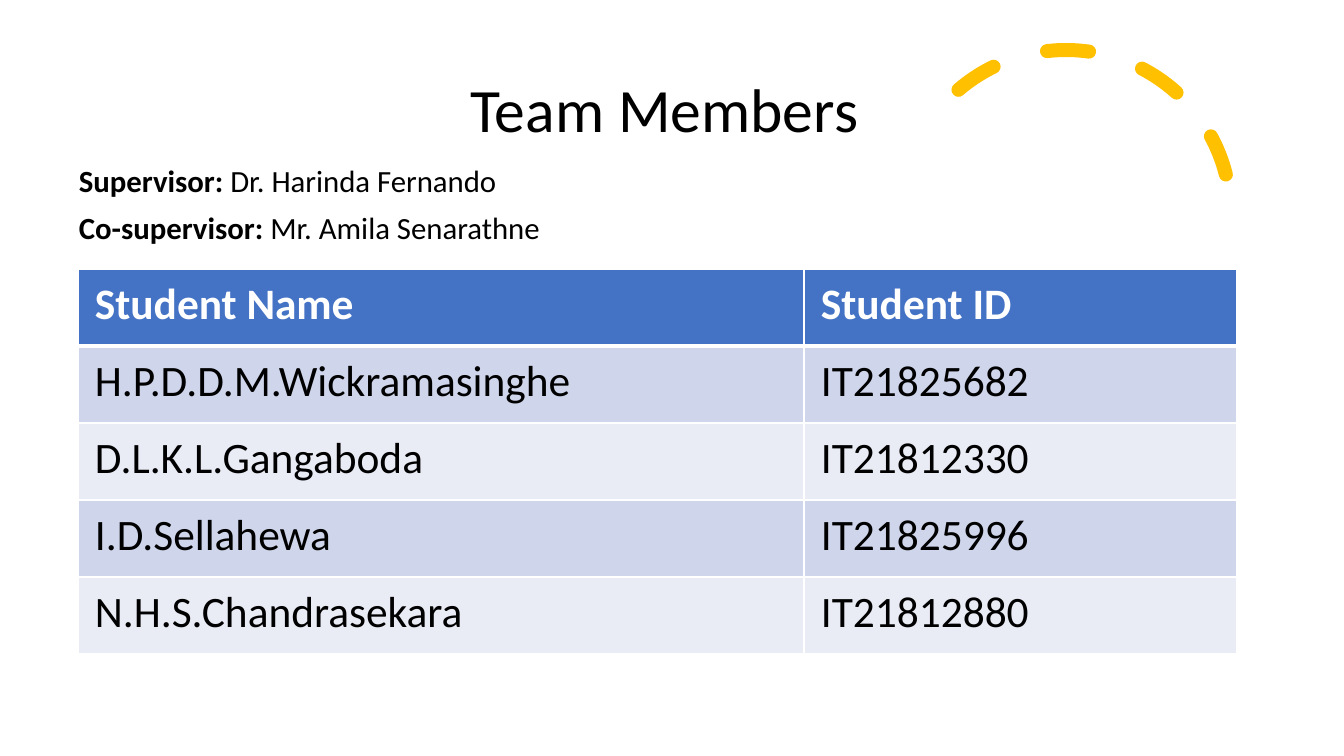
from lxml import etree
from pptx import Presentation
from pptx.dml.color import RGBColor
from pptx.enum.dml import MSO_LINE
from pptx.enum.shapes import MSO_SHAPE
from pptx.enum.text import MSO_ANCHOR, PP_ALIGN
from pptx.oxml.ns import qn
from pptx.util import Pt

ARC = MSO_SHAPE.ARC
DASH = MSO_LINE.DASH
MIDDLE = MSO_ANCHOR.MIDDLE
TOP = MSO_ANCHOR.TOP
CENTER = PP_ALIGN.CENTER

BLACK = RGBColor(0x00, 0x00, 0x00)
WHITE = RGBColor(0xFF, 0xFF, 0xFF)
GOLD = RGBColor(0xFF, 0xC0, 0x00)
BLUE = RGBColor(0x44, 0x72, 0xC4)
BANDS = [RGBColor(0xE9, 0xEB, 0xF5), RGBColor(0xCF, 0xD5, 0xEA)]
FONT = "Calibri"
PX = 914400 / 100.8


def px(*nums):
    return [round(n * PX) for n in nums]


def write(par, text, size=22, color=BLACK, bold=False):
    run = par.add_run()
    run.text = text
    font = run.font
    font.name = FONT
    font.size = Pt(size)
    font.bold = bold
    font.color.rgb = color


deck = Presentation()
deck.slide_width, deck.slide_height = px(1344, 756)
slide = deck.slides.add_slide(deck.slide_layouts[5])
shapes = slide.shapes

title = shapes.title
title.left, title.top, title.width, title.height = px(92, 40, 1159, 146)
title.text_frame.vertical_anchor = MIDDLE
par = title.text_frame.paragraphs[0]
par.alignment = CENTER
par.line_spacing = 0.9
par.space_after = Pt(6)
write(par, "Team Members ", size=44)

arc = shapes.add_shape(ARC, *px(901, 50, 330, 330))
arc.adjustments[0] = 146.13
arc.adjustments[1] = 0
arc.rotation = 345.8
arc.shadow.inherit = False
arc.fill.background()
arc.line.color.rgb = GOLD
arc.line.width = Pt(10)
arc.line.dash_style = DASH
arc.line._get_or_add_ln().set("cap", "rnd")

staff = [
    ("Supervisor: ", "Dr. Harinda Fernando"),
    ("Co-supervisor: ", "Mr. Amila Senarathne"),
]
box = shapes.add_textbox(*px(69, 161, 543, 92))
frame = box.text_frame
frame.word_wrap = True
frame.vertical_anchor = TOP
for i, (role, name) in enumerate(staff):
    par = frame.add_paragraph() if i else frame.paragraphs[0]
    par.line_spacing = 0.9
    par.space_before = Pt(10 if i else 0)
    write(par, role, bold=True)
    write(par, name)

rows = [
    ("Student Name", "Student ID"),
    ("H.P.D.D.M.Wickramasinghe", "IT21825682"),
    ("D.L.K.L.Gangaboda", "IT21812330"),
    ("I.D.Sellahewa", "IT21825996"),
    ("N.H.S.Chandrasekara", "IT21812880"),
]
table = shapes.add_table(len(rows), 2, *px(78, 269, 1159, 385)).table
for col, width in zip(table.columns, px(726, 433)):
    col.width = width
for r, row in enumerate(rows):
    head = r == 0
    table.rows[r].height = px(77)[0]
    for c, text in enumerate(row):
        cell = table.cell(r, c)
        cell.margin_left, cell.margin_right = px(17, 17)
        cell.margin_top, cell.margin_bottom = px(9, 9)
        props = cell._tc.get_or_add_tcPr()
        thick = {"lnB": 3} if head else {"lnT": 3} if r == 1 else {}
        for side in ("lnL", "lnR", "lnT", "lnB"):
            line = etree.SubElement(props, qn("a:" + side), w=str(Pt(thick.get(side, 1))))
            fill = etree.SubElement(line, qn("a:solidFill"))
            etree.SubElement(fill, qn("a:srgbClr"), val=str(WHITE))
        cell.fill.solid()
        cell.fill.fore_color.rgb = BLUE if head else BANDS[r % 2]
        write(cell.text_frame.paragraphs[0], text, size=31,
              color=WHITE if head else BLACK, bold=head)

deck.save("out.pptx")
